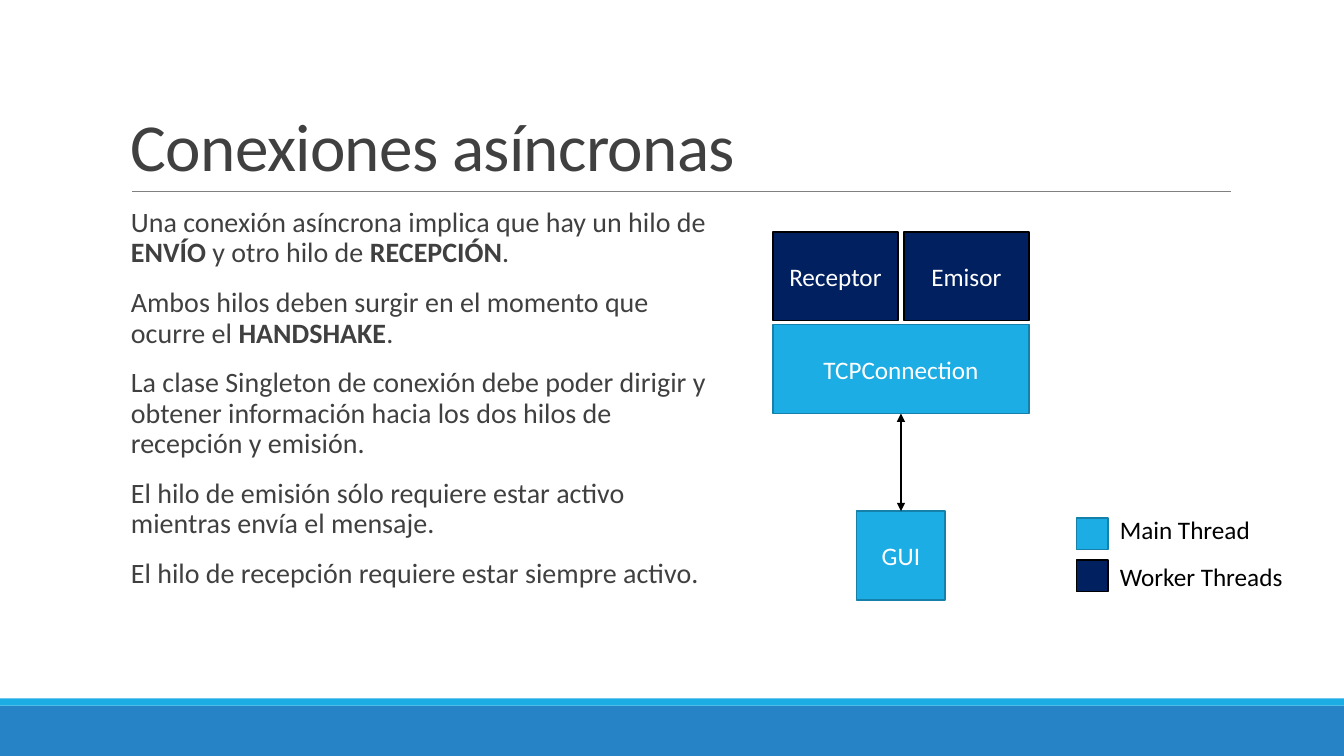
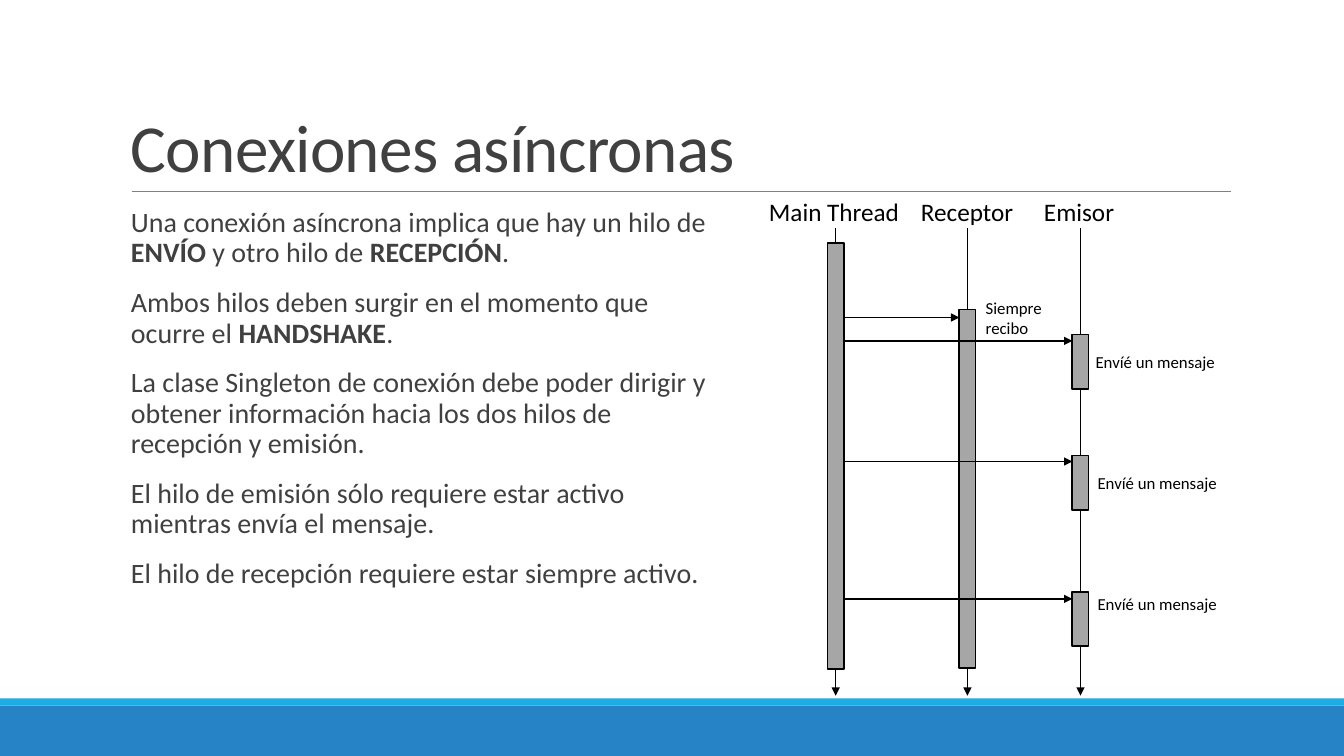
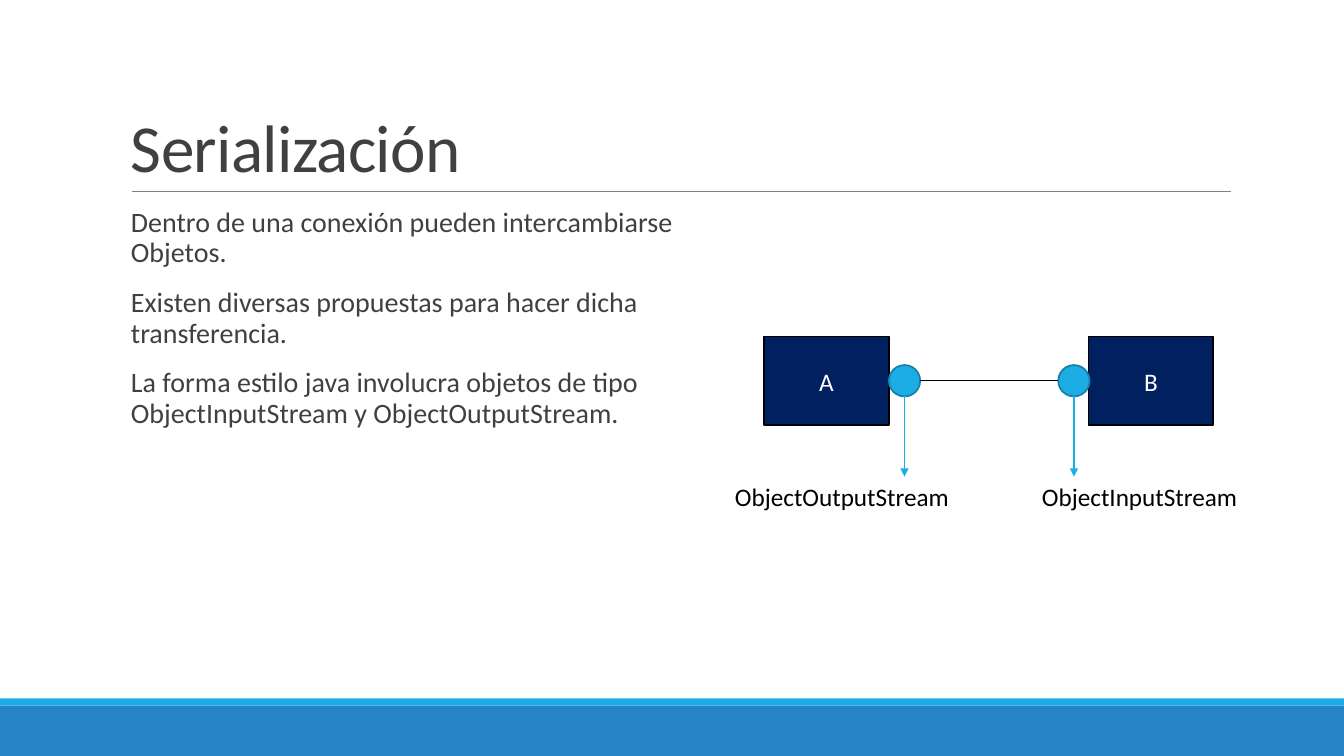
"""Build three slides about asynchronous connections and serialization."""
import dataclasses
import typing

import pptx
import pptx.dml.color
import pptx.enum.shapes
import pptx.enum.text
import pptx.oxml.ns
import pptx.slide
import pptx.text.text
import pptx.util
import lxml.etree

Cm = pptx.util.Cm
Pt = pptx.util.Pt
Align = pptx.enum.text.PP_ALIGN
Anchor = pptx.enum.text.MSO_ANCHOR
Preset = pptx.enum.shapes.MSO_SHAPE


@dataclasses.dataclass(frozen=True)
class Theme:
    """Colours, font and type sizes of the deck."""
    font: str = "Calibri"
    title_size: float = 48
    body_size: float = 20
    label_size: float = 18
    note_size: float = 12
    block_line: float = 1.25
    arrow_line: float = 1
    rule_line: float = 0.5
    ink: str = "404040"
    black: str = "000000"
    white: str = "FFFFFF"
    rule: str = "808080"
    gray: str = "A6A6A6"
    navy: str = "002060"
    sky: str = "1CADE4"
    sky_edge: str = "1580A9"
    footer: str = "2683C6"


THEME = Theme()


class Paint(typing.NamedTuple):
    """Fill and outline colours of a block."""
    fill: str
    edge: typing.Optional[str] = None


MAIN = Paint(THEME.sky, THEME.sky_edge)
WORKER = Paint(THEME.navy, THEME.black)
ACTIVE = Paint(THEME.gray, THEME.black)


class Block(typing.NamedTuple):
    """A filled preset shape, in centimetres."""
    left: float
    top: float
    width: float
    height: float
    paint: Paint
    text: str = ""
    preset: Preset = Preset.RECTANGLE


class Label(typing.NamedTuple):
    """A free text box, in centimetres."""
    left: float
    top: float
    width: float
    text: str
    height: float = 1.02
    size: float = THEME.label_size
    wrap: bool = False
    align: Align = Align.LEFT


class Line(typing.NamedTuple):
    """A straight line with optional arrowheads, in centimetres."""
    x1: float
    y1: float
    x2: float
    y2: float
    color: str = THEME.black
    weight: float = THEME.arrow_line
    head: bool = False
    tail: bool = True


SLIDE_WIDTH = 33.87
SLIDE_HEIGHT = 19.05
BOX_WIDTH = 3.15
BOX_HEIGHT = 2.24
DOT = 0.79
BAR_WIDTH = 0.41

ASYNC_TITLE = "Conexiones asíncronas"
ASYNC_BODY = (
    "Una conexión asíncrona implica que hay un hilo de *ENVÍO* y otro hilo de *RECEPCIÓN*.",
    "Ambos hilos deben surgir en el momento que ocurre el *HANDSHAKE*.",
    "La clase Singleton de conexión debe poder dirigir y obtener información"
    " hacia los dos hilos de recepción y emisión.",
    "El hilo de emisión sólo requiere estar activo mientras envía el mensaje.",
    "El hilo de recepción requiere estar siempre activo.",
)
SERIAL_BODY = (
    "Dentro de una conexión pueden intercambiarse Objetos.",
    "Existen diversas propuestas para hacer dicha transferencia.",
    "La forma estilo java involucra objetos de tipo ObjectInputStream y ObjectOutputStream.",
)


def rgb(color: str) -> pptx.dml.color.RGBColor:
    """Return the colour object for a hex string."""
    return pptx.dml.color.RGBColor.from_string(color)


def write_text(frame: pptx.text.text.TextFrame, text: str, *, size: float,
               color: str = THEME.black, align: Align = Align.LEFT,
               anchor: Anchor = Anchor.TOP, wrap: bool = True,
               line_spacing: typing.Optional[float] = None,
               before: float = 0, after: float = 0, tracking: int = 0) -> None:
    """Write lines of text, with bold parts between asterisks."""
    frame.word_wrap = wrap
    frame.vertical_anchor = anchor
    for index, content in enumerate(text.split("\n")):
        paragraph = frame.add_paragraph() if index else frame.paragraphs[0]
        paragraph.alignment = align
        paragraph.space_before = Pt(before)
        paragraph.space_after = Pt(after)
        if line_spacing:
            paragraph.line_spacing = line_spacing
        for position, part in enumerate(content.split("*")):
            run = paragraph.add_run()
            run.text = part
            run.font.name = THEME.font
            run.font.size = Pt(size)
            run.font.bold = position % 2 == 1
            run.font.color.rgb = rgb(color)
            if tracking:
                run._r.get_or_add_rPr().set("spc", str(tracking))


def draw_block(slide: pptx.slide.Slide, block: Block) -> None:
    """Draw a filled shape with its centred text."""
    shape = slide.shapes.add_shape(block.preset, Cm(block.left), Cm(block.top),
                                   Cm(block.width), Cm(block.height))
    shape.shadow.inherit = False
    shape.fill.solid()
    shape.fill.fore_color.rgb = rgb(block.paint.fill)
    if block.paint.edge:
        shape.line.color.rgb = rgb(block.paint.edge)
        shape.line.width = Pt(THEME.block_line)
    else:
        shape.line.fill.background()
    if block.text:
        write_text(shape.text_frame, block.text, size=THEME.label_size,
                   color=THEME.white, align=Align.CENTER, anchor=Anchor.MIDDLE)


def draw_label(slide: pptx.slide.Slide, label: Label) -> None:
    """Draw a text box that grows with its text."""
    box = slide.shapes.add_textbox(Cm(label.left), Cm(label.top),
                                   Cm(label.width), Cm(label.height))
    box.text_frame.auto_size = pptx.enum.text.MSO_AUTO_SIZE.SHAPE_TO_FIT_TEXT
    write_text(box.text_frame, label.text, size=label.size,
               align=label.align, wrap=label.wrap)


def draw_line(slide: pptx.slide.Slide, line: Line) -> None:
    """Draw a line with its arrowheads and no shadow."""
    connector = slide.shapes.add_connector(
        pptx.enum.shapes.MSO_CONNECTOR.STRAIGHT,
        Cm(line.x1), Cm(line.y1), Cm(line.x2), Cm(line.y2))
    connector.line.color.rgb = rgb(line.color)
    connector.line.width = Pt(line.weight)
    properties = connector.element.spPr
    outline = properties.get_or_add_ln()
    for tag, shown in (("a:headEnd", line.head), ("a:tailEnd", line.tail)):
        if shown:
            end = lxml.etree.SubElement(outline, pptx.oxml.ns.qn(tag))
            end.set("type", "triangle")
    lxml.etree.SubElement(properties, pptx.oxml.ns.qn("a:effectLst"))


def draw_all(slide: pptx.slide.Slide,
             items: typing.Iterable[typing.Union[Block, Label, Line]]) -> None:
    """Draw items from back to front."""
    painters = {Block: draw_block, Label: draw_label, Line: draw_line}
    for item in items:
        painters[type(item)](slide, item)


def add_content_slide(presentation: typing.Any, title: str, body: typing.Sequence[str],
                      title_top: float = 0.79) -> pptx.slide.Slide:
    """Add a slide with the shared bands, rule, title and body."""
    slide = presentation.slides.add_slide(presentation.slide_layouts[6])
    draw_all(slide, (
        Block(0, 17.78, SLIDE_WIDTH, 1.27, Paint(THEME.footer)),
        Block(0, 17.6, SLIDE_WIDTH, 0.18, Paint(THEME.sky)),
        Line(3.33, 4.83, 31.01, 4.83, THEME.rule, THEME.rule_line, tail=False),
    ))
    title_box = slide.shapes.add_textbox(Cm(3.05), Cm(title_top), Cm(27.94), Cm(4.04))
    write_text(title_box.text_frame, title, size=THEME.title_size, color=THEME.ink,
               anchor=Anchor.BOTTOM, line_spacing=0.85, tracking=-50)
    body_box = slide.shapes.add_textbox(Cm(3.05), Cm(5.13), Cm(15.14), Cm(11.18))
    body_box.text_frame.margin_right = Cm(0)
    write_text(body_box.text_frame, "\n".join(body), size=THEME.body_size,
               color=THEME.ink, line_spacing=0.9, before=12, after=2)
    return slide


def build_threads_slide(presentation: typing.Any) -> None:
    """Show the thread blocks and their legend."""
    slide = add_content_slide(presentation, ASYNC_TITLE, ASYNC_BODY, title_top=0.74)
    left, top, gap = 19.48, 5.84, 0.15
    total = 2 * BOX_WIDTH + gap
    center = left + total / 2
    connection_top = top + BOX_HEIGHT + 0.1
    gui_top = 12.88
    draw_all(slide, (
        Block(left, connection_top, total, BOX_HEIGHT, MAIN, "TCPConnection"),
        Block(left, top, BOX_WIDTH, BOX_HEIGHT, WORKER, "Receptor"),
        Block(left + BOX_WIDTH + gap, top, BOX_WIDTH, BOX_HEIGHT, WORKER, "Emisor"),
        Block(center - BOX_HEIGHT / 2, gui_top, BOX_HEIGHT, BOX_HEIGHT, MAIN, "GUI"),
        Line(center, gui_top, center, connection_top + BOX_HEIGHT, head=True),
        Block(27.13, 14.12, DOT, DOT, WORKER),
        Block(27.13, 13.06, DOT, DOT, MAIN),
        Label(27.97, 12.83, 3.99, "Main Thread"),
        Label(27.97, 14.02, 4.65, "Worker Threads"),
    ))


def build_sequence_slide(presentation: typing.Any) -> None:
    """Show the sequence of messages between threads."""
    slide = add_content_slide(presentation, ASYNC_TITLE, ASYNC_BODY)
    main, receiver, sender = 21.06, 24.38, 27.23
    half = BAR_WIDTH / 2
    bars = ((main, 6.12, 10.74), (receiver, 7.8, 9.04),
            (sender, 8.43, 1.37), (sender, 11.48, 1.37), (sender, 14.91, 1.37))
    messages = ((receiver, 8.0), (sender, 8.59), (sender, 11.63), (sender, 15.09))
    notes = ((27.36, 8.74), (27.41, 11.79), (27.41, 14.83))
    draw_all(slide, (
        *(Line(x, 5.74, x, 17.53) for x in (main, receiver, sender)),
        Label(19.13, 4.83, 3.84, "Main Thread"),
        Label(22.96, 4.83, 2.87, "Receptor"),
        Label(26.06, 4.83, 2.29, "Emisor"),
        *(Block(x - half, top, BAR_WIDTH, height, ACTIVE) for x, top, height in bars),
        *(Line(main + half, y, target - half, y) for target, y in messages),
        *(Label(left, top, 4.85, "Envíé un mensaje", 0.76, THEME.note_size, True)
          for left, top in notes),
        Label(24.59, 7.37, 4.85, "Siempre\nrecibo", 1.27, THEME.note_size, True),
    ))


def build_serialization_slide(presentation: typing.Any) -> None:
    """Show two endpoints joined by object streams."""
    slide = add_content_slide(presentation, "Serialización", SERIAL_BODY)
    top, dot_top, label_top = 8.48, 9.2, 12.01
    dots = (22.4, 26.67)
    middle = dot_top + DOT / 2
    draw_all(slide, (
        Block(19.25, top, BOX_WIDTH, BOX_HEIGHT, WORKER, "A"),
        Block(27.43, top, BOX_WIDTH, BOX_HEIGHT, WORKER, "B"),
        *(Block(left, dot_top, DOT, DOT, MAIN, preset=Preset.OVAL) for left in dots),
        Line(dots[0] + DOT, middle, dots[1], middle, tail=False),
        Label(25.86, label_top, 5.72, "ObjectInputStream", wrap=True, align=Align.CENTER),
        Label(18.16, label_top, 6.12, "ObjectOutputStream", wrap=True, align=Align.CENTER),
        *(Line(left + DOT / 2, dot_top + DOT, left + DOT / 2, label_top, THEME.sky)
          for left in dots),
    ))


def main() -> None:
    """Build and save the presentation."""
    presentation = pptx.Presentation()
    presentation.slide_width = Cm(SLIDE_WIDTH)
    presentation.slide_height = Cm(SLIDE_HEIGHT)
    build_threads_slide(presentation)
    build_sequence_slide(presentation)
    build_serialization_slide(presentation)
    presentation.save("out.pptx")


if __name__ == "__main__":
    main()
